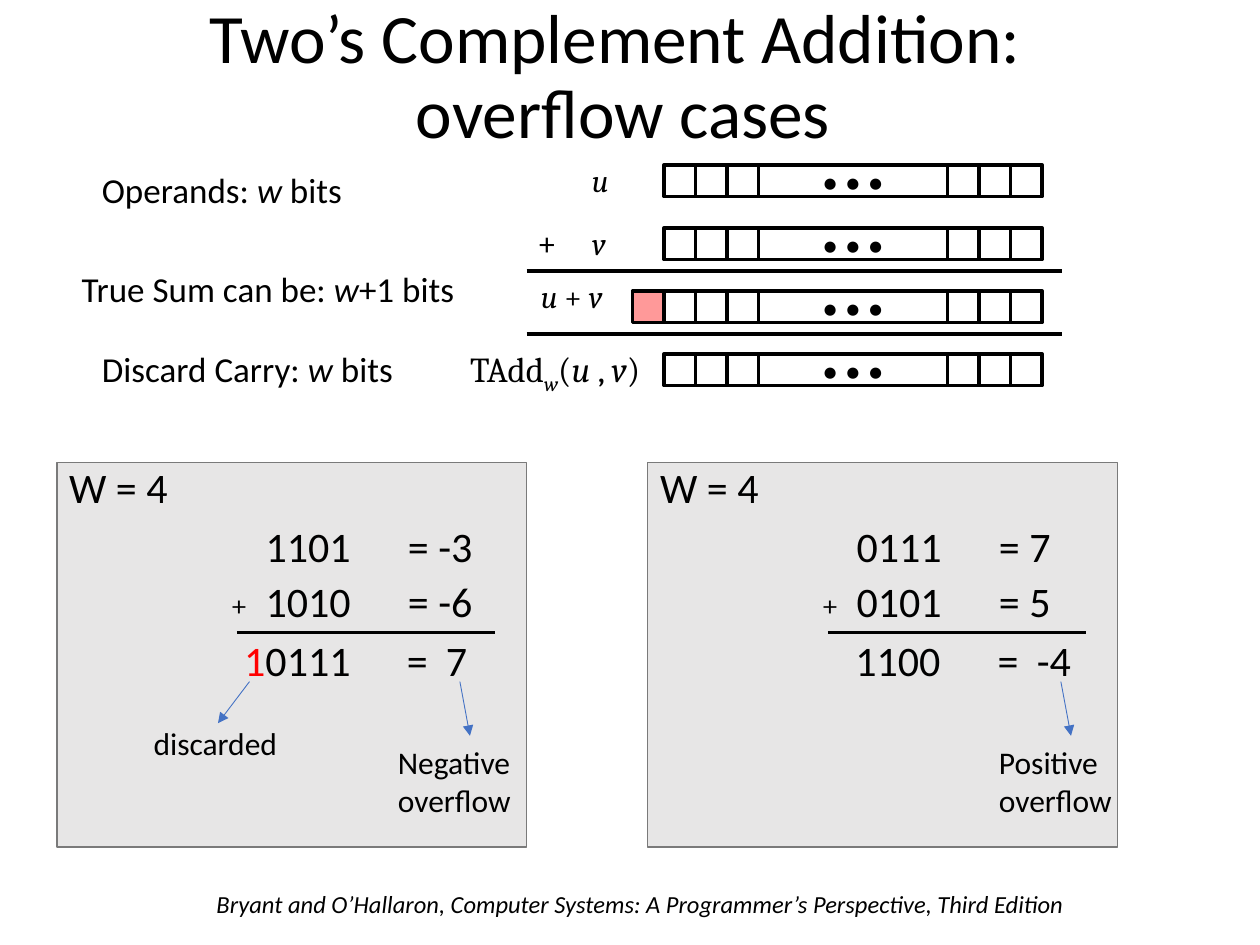
from dataclasses import dataclass

from lxml import etree
from pptx import Presentation
from pptx.dml.color import RGBColor
from pptx.enum.shapes import MSO_CONNECTOR, MSO_SHAPE
from pptx.enum.text import MSO_ANCHOR, MSO_AUTO_SIZE, PP_ALIGN
from pptx.oxml.ns import qn
from pptx.util import Inches, Pt

BLACK, WHITE, RED = "000000", "FFFFFF", "FF0000"
CARRY_PINK, PANEL_GRAY, PANEL_BORDER, ARROW_BLUE = "FF9999", "E7E6E6", "7A7A7A", "4472C4"
CELL = 0.25
WORD_LEFT, DOTS_LEFT, LOW_BITS_LEFT = 5.27, 6.02, 7.52
INSET = 0.1


@dataclass
class Span:
    text: str
    italic: bool = False
    color: str = BLACK
    subscript: bool = False


@dataclass
class Sum:
    """One row of a worked addition; offsets are from the left of its panel."""
    spans: list[Span]
    left: float
    top: float
    stops: list[float]


@dataclass
class Panel:
    left: float
    sums: list[Sum]
    note: str
    note_left: float


def rgb(color: str) -> RGBColor:
    return RGBColor.from_string(color)


def add_text(slide, spans: list[Span], left: float, top: float, width: float, height: float,
             size: float, font="Calibri", align=PP_ALIGN.LEFT, wrap=False, stops=()):
    """Add a one-paragraph text box with optional tab stops, measured from the text edge."""
    frame = slide.shapes.add_textbox(Inches(left), Inches(top), Inches(width), Inches(height)).text_frame
    frame.word_wrap = wrap
    frame.auto_size = MSO_AUTO_SIZE.SHAPE_TO_FIT_TEXT
    paragraph = frame.paragraphs[0]
    paragraph.alignment = align
    if stops:
        tab_list = etree.SubElement(paragraph._p.get_or_add_pPr(), qn("a:tabLst"))
        for stop in stops:
            etree.SubElement(tab_list, qn("a:tab"), pos=str(Inches(stop)), algn="l")
    for span in spans:
        run = paragraph.add_run()
        run.text = span.text
        run.font.name, run.font.size = font, Pt(size)
        run.font.italic = span.italic
        run.font.color.rgb = rgb(span.color)
        if span.subscript:
            run.font._element.set("baseline", "-25000")
    return frame


def add_box(shapes, left: float, top: float, width: float, height: float,
            fill=WHITE, border=BLACK, weight=2.0):
    shape = shapes.add_shape(MSO_SHAPE.RECTANGLE, Inches(left), Inches(top), Inches(width), Inches(height))
    shape.shadow.inherit = False
    shape.fill.solid()
    shape.fill.fore_color.rgb = rgb(fill)
    shape.line.color.rgb = rgb(border)
    shape.line.width = Pt(weight)
    return shape


def add_line(slide, start: tuple[float, float], end: tuple[float, float],
             weight=2.0, color=BLACK, arrow=False) -> None:
    line = slide.shapes.add_connector(MSO_CONNECTOR.STRAIGHT, *map(Inches, start + end))
    line.line.color.rgb = rgb(color)
    line.line.width = Pt(weight)
    if arrow:
        etree.SubElement(line.line._get_or_add_ln(), qn("a:tailEnd"), type="triangle")
    etree.SubElement(line._element.spPr, qn("a:effectLst"))


def add_bit_word(slide, top: float, carry=False) -> None:
    """Draw a word as three high bits, dots and three low bits, with an optional carry bit."""
    shapes = slide.shapes.add_group_shape().shapes
    for start in (WORD_LEFT, LOW_BITS_LEFT):
        for index in range(3):
            add_box(shapes, start + index * CELL, top, CELL, CELL)
    frame = add_box(shapes, DOTS_LEFT, top, LOW_BITS_LEFT - DOTS_LEFT, CELL).text_frame
    frame.text = "• • •"
    frame.word_wrap = False
    frame.vertical_anchor = MSO_ANCHOR.MIDDLE
    paragraph = frame.paragraphs[0]
    paragraph.alignment = PP_ALIGN.CENTER
    font = paragraph.runs[0].font
    font.name, font.size = "Calibri", Pt(18)
    font.color.rgb = rgb(BLACK)
    if carry:
        add_box(shapes, WORD_LEFT - CELL, top, CELL, CELL, CARRY_PINK)


def add_panel(slide, panel: Panel) -> None:
    left = panel.left
    add_box(slide.shapes, left, 3.67, 3.73, 3.05, PANEL_GRAY, PANEL_BORDER, 1)
    add_text(slide, [Span("W = 4")], left, 3.61, 0.99, 0.5, 24)
    for row in panel.sums:
        stops = [stop - row.left - INSET for stop in row.stops]
        add_text(slide, row.spans, left + row.left, row.top, 2.1, 0.5, 24, wrap=True, stops=stops)
    add_text(slide, [Span("+")], left + 1.28, 4.59, 0.39, 0.5, 18, "Cambria")
    add_line(slide, (left + 1.43, 5.02), (left + 3.48, 5.02), 2.25)
    note_left = left + panel.note_left
    add_line(slide, (note_left + 0.59, 5.41), (note_left + 0.67, 5.84), 0.5, ARROW_BLUE, arrow=True)
    add_text(slide, [Span(panel.note)], note_left, 5.85, 1.12, 0.71, 18, wrap=True)


def operand(text: str, top: float) -> Sum:
    return Sum([Span(text)], 1.56, top, [2.79])


def result(spans: list[Span], left: float) -> Sum:
    return Sum(spans, left, 4.99, [2.78, 3.09])


PANELS = [
    Panel(0.45, [operand("1101\t= -3", 4.08), operand("1010\t= -6", 4.52),
                 result([Span("1", color=RED), Span("0111\t=\t7")], 1.39)], "Negative overflow", 2.61),
    Panel(5.14, [operand("0111\t= 7", 4.08), operand("0101\t= 5", 4.52),
                 result([Span("1100\t=\t-4")], 1.55)], "Positive overflow", 2.69),
]


def main() -> None:
    presentation = Presentation()
    presentation.slide_width, presentation.slide_height = Inches(10), Inches(7.5)
    slide = presentation.slides.add_slide(presentation.slide_layouts[6])
    u, v, w = (Span(name, italic=True) for name in "uvw")

    add_text(slide, [Span("Bryant and O’Hallaron, Computer Systems: A Programmer’s Perspective, Third Edition",
                          italic=True)], 1.62, 7.01, 7.1, 0.34, 14, wrap=True)
    title = add_text(slide, [], 0, 0.16, 9.89, 0.92, 39.6, align=PP_ALIGN.CENTER, wrap=True)
    title.auto_size = MSO_AUTO_SIZE.NONE
    title.vertical_anchor = MSO_ANCHOR.MIDDLE
    heading = title.paragraphs[0]
    heading.text = "Two’s Complement Addition: \voverflow cases"
    heading.line_spacing = 0.9
    for run in heading.runs:
        run.font.name, run.font.size = "Calibri", Pt(39.6)
        run.font.color.rgb = rgb(BLACK)

    for index in range(4):
        add_bit_word(slide, 1.31 + index * 0.5, carry=index == 2)
    for rule_top in (2.15, 2.65):
        add_line(slide, (4.18, rule_top), (8.43, rule_top))

    add_text(slide, [u], 4.6, 1.23, 0.33, 0.4, 18, "Cambria")
    add_text(slide, [v], 4.6, 1.73, 0.31, 0.4, 18, "Cambria")
    add_text(slide, [Span("+")], 4.18, 1.73, 0.35, 0.4, 18)
    add_text(slide, [u, Span(" + "), v], 4.18, 2.15, 0.7, 0.4, 18, "Cambria", PP_ALIGN.RIGHT)
    add_text(slide, [Span("TAdd"), Span("w", italic=True, subscript=True), Span("("), u, Span(" , "), v, Span(")")],
             3.54, 2.71, 1.64, 0.44, 20, "Cambria", PP_ALIGN.RIGHT)
    for before, after, left, top, width in (
        ("Operands: ", " bits", 0.71, 1.29, 2.13),
        ("True Sum can be: ", "+1 bits", 0.55, 2.07, 3.19),
        ("Discard Carry: ", " bits", 0.71, 2.71, 2.52),
    ):
        add_text(slide, [Span(before), w, Span(after)], left, top, width, 0.44, 20)

    for panel in PANELS:
        add_panel(slide, panel)
    add_line(slide, (1.98, 5.41), (1.73, 5.74), 0.5, ARROW_BLUE, arrow=True)
    add_text(slide, [Span("discarded")], 1.12, 5.7, 1.19, 0.4, 18)
    presentation.save("out.pptx")


if __name__ == "__main__":
    main()
